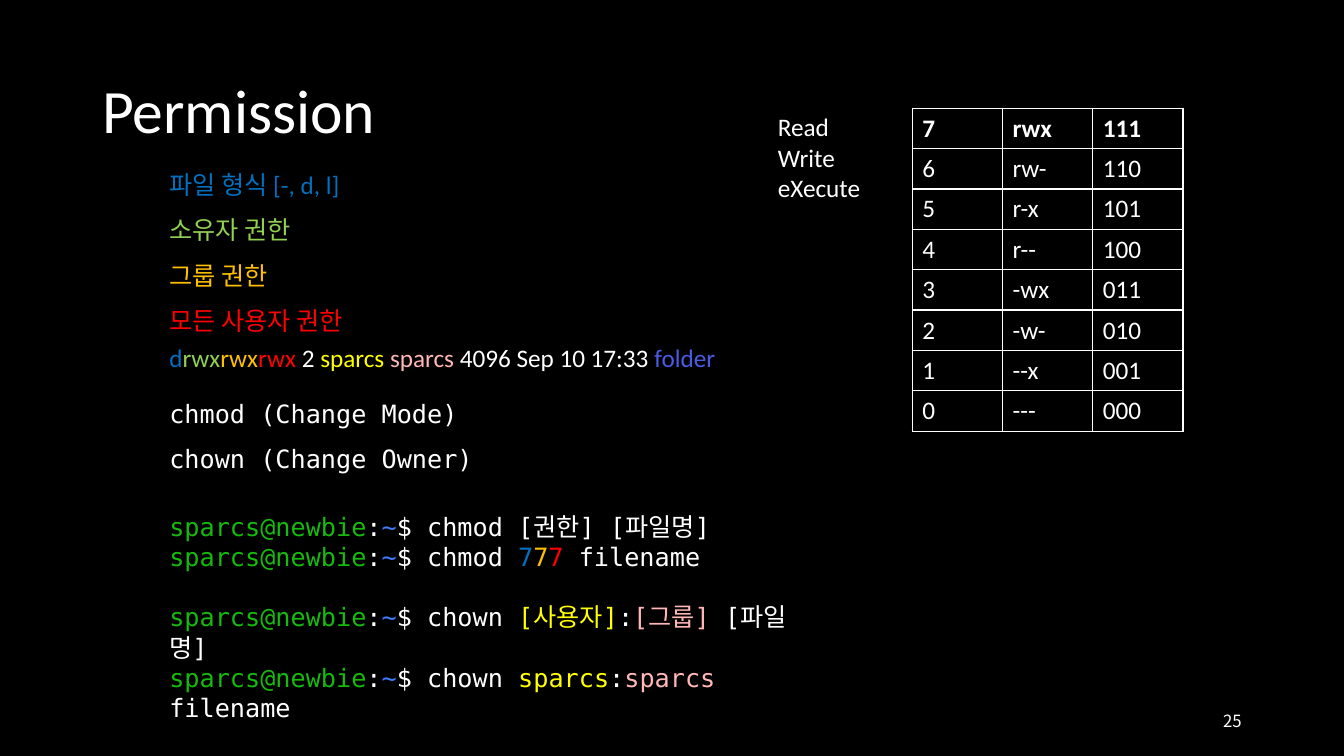
from dataclasses import dataclass

from lxml import etree
from pptx import Presentation, util as u
from pptx.dml.color import RGBColor
from pptx.enum import text as t
from pptx.oxml import ns


@dataclass(frozen=True)
class Theme:
    back: str = "000000"
    white: str = "FFFFFF"
    blue: str = "0070C0"
    lime: str = "92D050"
    gold: str = "FFC000"
    red: str = "FF0000"
    owner: str = "FFFF00"
    group: str = "FFB7B7"
    folder: str = "4B5AE7"
    user: str = "15BA0C"
    home: str = "3D7DFF"
    sans: str = "Calibri"
    mono: str = "DejaVu Sans Mono"
    cjk: str = "Noto Sans CJK KR"
    head: int = 44
    body: int = 18
    small: int = 12


def write(frame, paras, font, size, color, bold=False, align=None,
          lead=None, gaps=()):
    """Each paragraph is a list of (text, color) runs or a plain string."""
    for i, runs in enumerate(paras):
        para = frame.paragraphs[0] if i == 0 else frame.add_paragraph()
        para.alignment = align
        if lead:
            para.line_spacing = lead
        if i in gaps:
            para.space_before = u.Pt(size * 1.2)
        if isinstance(runs, str):
            runs = [(runs, color)]
        for words, tint in runs:
            run = para.add_run()
            run.text = words
            run.font.name = font
            run.font.size = u.Pt(size)
            run.font.bold = bold
            run.font.color.rgb = RGBColor.from_string(tint)


class Deck:
    def __init__(self, theme):
        self.theme = theme
        self.file = Presentation()
        self.file.slide_width = u.Pt(960)
        self.file.slide_height = u.Pt(540)
        self.slide = self.file.slides.add_slide(self.file.slide_layouts[6])
        fill = self.slide.background.fill
        fill.solid()
        fill.fore_color.rgb = RGBColor.from_string(theme.back)

    def label(self, box, paras, wrap=True, middle=False, **style):
        shape = self.slide.shapes.add_textbox(*map(u.Pt, box))
        frame = shape.text_frame
        frame.word_wrap = wrap
        if middle:
            frame.vertical_anchor = t.MSO_ANCHOR.MIDDLE
        base = dict(font=self.theme.sans, size=self.theme.body,
                    color=self.theme.white)
        write(frame, paras, **{**base, **style})

    def border(self, cell):
        props = cell._tc.get_or_add_tcPr()
        for i, side in enumerate(("lnL", "lnR", "lnT", "lnB")):
            line = etree.Element(ns.qn("a:" + side), w=str(u.Pt(1)))
            fill = etree.SubElement(line, ns.qn("a:solidFill"))
            etree.SubElement(fill, ns.qn("a:srgbClr"), val=self.theme.white)
            props.insert(i, line)

    def table(self, left, top, wide, high, rows):
        count, cols = len(rows), len(rows[0])
        grid = self.slide.shapes.add_table(
            count, cols, u.Pt(left), u.Pt(top),
            u.Pt(wide * cols), u.Pt(high * count)).table
        for col in grid.columns:
            col.width = u.Pt(wide)
        for r, row in enumerate(rows):
            grid.rows[r].height = u.Pt(high)
            for c, words in enumerate(row):
                cell = grid.cell(r, c)
                cell.fill.background()
                self.border(cell)
                write(cell.text_frame, [words], self.theme.sans,
                      self.theme.body, self.theme.white, bold=r == 0)


def main():
    th = Theme()
    deck = Deck(th)
    left, wide = 113.8, 480

    # Title and page number
    deck.label((66, 28.8, 828, 104.4), ["Permission"], middle=True,
               size=th.head, lead=0.9)
    deck.label((845, 500.5, 49, 28.8), ["25"], middle=True, font=th.cjk,
               size=th.small, align=t.PP_ALIGN.RIGHT)

    # Listing entry and its legend
    deck.label((left, 241.2, wide, 29), [[
        ("d", th.blue), ("rwx", th.lime), ("rwx", th.gold), ("rwx", th.red),
        (" 2 ", th.white), ("sparcs ", th.owner), ("sparcs", th.group),
        (" 4096 Sep 10 17:33 ", th.white), ("folder", th.folder)]])
    deck.label((left, 106.6, 150, 134.6), [
        [("파일 형식 [-, d, l]", th.blue)], [("소유자 권한", th.lime)],
        [("그룹 권한", th.gold)], [("모든 사용자 권한", th.red)]],
        wrap=False, lead=1.5)

    # Permission bits, from 7 down to 0
    deck.label((548.6, 76.3, 74, 72.7), ["Read", "Write", "eXecute"],
               wrap=False)
    rows = []
    for n in range(7, -1, -1):
        bits = f"{n:03b}"
        flags = "".join(f if b == "1" else "-" for f, b in zip("rwx", bits))
        rows.append((str(n), flags, bits))
    deck.table(651.6, 77.3, 64.5, 28.8, rows)

    # Commands
    deck.label((left, 270, wide, 69), [
        "chmod (Change Mode)", "chown (Change Owner)"],
        font=th.mono, lead=1.5)

    # Terminal examples
    shell = [("sparcs@newbie", th.user), (":", th.white), ("~", th.home)]
    mode, own = ("$ chmod ", th.white), ("$ chown ", th.white)
    colon, name = (":", th.white), (" filename", th.white)
    deck.label((left, 361.4, wide, 138), [
        shell + [("$ chmod [권한] [파일명]", th.white)],
        shell + [mode, ("7", th.blue), ("7", th.gold), ("7", th.red), name],
        shell + [own, ("[사용자]", th.owner), colon, ("[그룹]", th.group),
                 (" [파일명]", th.white)],
        shell + [own, ("sparcs", th.owner), colon, ("sparcs", th.group),
                 name]],
        font=th.mono, gaps=(2,))

    deck.file.save("out.pptx")


if __name__ == "__main__":
    main()
